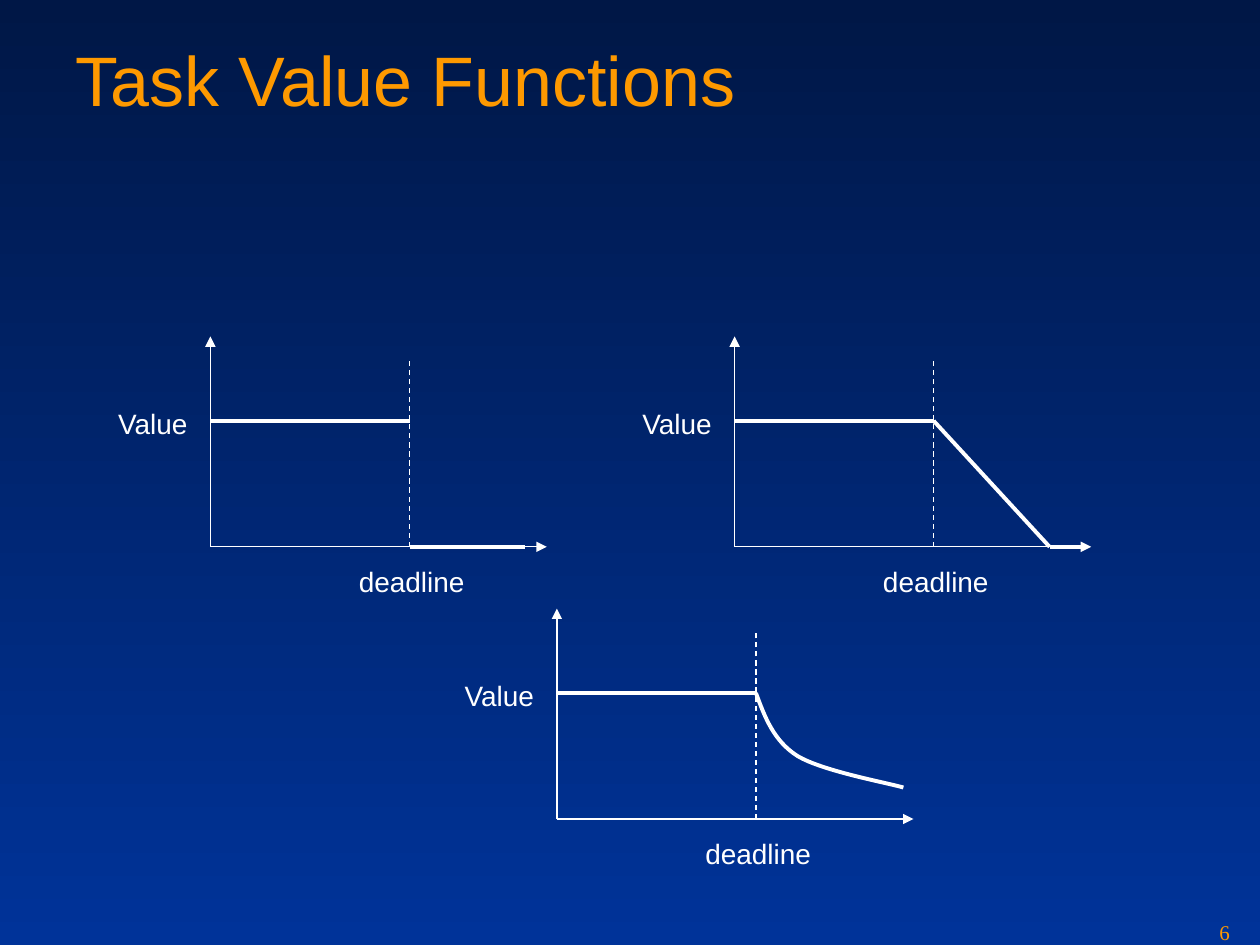
from lxml import etree
from pptx import Presentation
from pptx.dml.color import RGBColor
from pptx.enum import dml, shapes, text
from pptx.oxml import ns
from pptx.util import Inches, Pt

WHITE, ORANGE = "FFFFFF", "FE9900"
DEADLINE, FULL_VALUE = 1.58, 1.0


def colour(hex_string):
    return RGBColor.from_string(hex_string)


def paint_background(slide, top, bottom):
    fill = slide.background.fill
    fill.gradient()
    fill.gradient_angle = 270
    for stop, shade, position in zip(fill.gradient_stops, (top, bottom), (0, 1)):
        stop.color.rgb = colour(shade)
        stop.position = position


def write(frame, words, size=16, font="Arial", shade=WHITE, wrap=False):
    frame.word_wrap = wrap
    frame.auto_size = text.MSO_AUTO_SIZE.NONE
    frame.vertical_anchor = text.MSO_ANCHOR.TOP
    frame.text = words
    paragraph = frame.paragraphs[0]
    paragraph.alignment = text.PP_ALIGN.LEFT
    run_font = paragraph.runs[0].font
    run_font.size = Pt(size)
    run_font.name = font
    run_font.color.rgb = colour(shade)


def add_label(slide, words, left, top, width, height=0.37, **style):
    label = slide.shapes.add_textbox(*map(Inches, (left, top, width, height)))
    write(label.text_frame, words, **style)


def add_line(slide, start, end, weight=0.75, dashed=False, arrow=False):
    segment = slide.shapes.add_connector(
        shapes.MSO_CONNECTOR.STRAIGHT, *map(Inches, (*start, *end)))
    segment.line.color.rgb = colour(WHITE)
    segment.line.width = Pt(weight)
    if dashed:
        segment.line.dash_style = dml.MSO_LINE.DASH
    if arrow:
        etree.SubElement(segment.line._get_or_add_ln(), ns.qn("a:tailEnd"), type="triangle")
    etree.SubElement(segment._element.spPr, ns.qn("a:effectLst"))


def add_curve(slide, points):
    start, *rest = [(Inches(x), Inches(y)) for x, y in points]
    builder = slide.shapes.build_freeform(*start)
    builder.add_line_segments(rest, close=False)
    decay = builder.convert_to_shape()
    decay.shadow.inherit = False
    decay.fill.background()
    decay.line.color.rgb = colour(WHITE)
    decay.line.width = Pt(2.25)
    steps = list(decay._element.iter(ns.qn("a:lnTo")))
    for first in range(0, len(steps), 3):
        bezier = etree.Element(ns.qn("a:cubicBezTo"))
        steps[first].addprevious(bezier)
        for step in steps[first:first + 3]:
            bezier.append(step[0])
            step.getparent().remove(step)


def add_value_plot(slide, left, top, width, height, late_value, curved=False):
    base = top + height

    def at(time, value):
        return left + time, base - value

    add_line(slide, at(0, 0), at(0, height), arrow=True)
    add_line(slide, at(0, 0), at(width, 0), arrow=True)
    add_label(slide, "Value", left - 0.83, base - 1.16, 0.76)
    add_label(slide, "deadline", left + 1.08, base + 0.09, 1.04)
    add_line(slide, at(DEADLINE, 0), at(DEADLINE, 1.5), dashed=True)
    add_line(slide, at(0, FULL_VALUE), at(DEADLINE, FULL_VALUE), weight=2.25)
    late_points = [at(*point) for point in late_value]
    if curved:
        add_curve(slide, late_points)
    else:
        for start, end in zip(late_points, late_points[1:]):
            add_line(slide, start, end, weight=2.25)


def add_title(slide, words, left, top, width, height):
    title = slide.shapes.title
    title.left, title.top, title.width, title.height = map(Inches, (left, top, width, height))
    write(title.text_frame, words, size=40, shade=ORANGE, wrap=True)


def main():
    deck = Presentation()
    deck.slide_width, deck.slide_height = Inches(10), Inches(7.5)
    slide = deck.slides.add_slide(deck.slide_layouts[5])
    paint_background(slide, "001746", "003399")
    add_title(slide, "Task Value Functions", 0.5, 0.24, 9, 1.25)

    hard = [(DEADLINE, 0), (2.5, 0)]
    linear = [(DEADLINE, FULL_VALUE), (2.5, 0), (2.75, 0)]
    decaying = [(DEADLINE, FULL_VALUE), (1.65, 0.81), (1.72, 0.62), (1.91, 0.5),
                (2.11, 0.38), (2.61, 0.29), (2.75, 0.25)]
    add_value_plot(slide, 1.67, 2.67, 2.67, 1.67, hard)
    add_value_plot(slide, 5.83, 2.67, 2.83, 1.67, linear)
    add_value_plot(slide, 4.42, 4.83, 2.83, 1.67, decaying, curved=True)

    add_label(slide, "6", 9.58, 7.25, 0.42, 0.25, size=12,
              font="Times New Roman", shade=ORANGE, wrap=True)
    deck.save("out.pptx")


if __name__ == "__main__":
    main()
